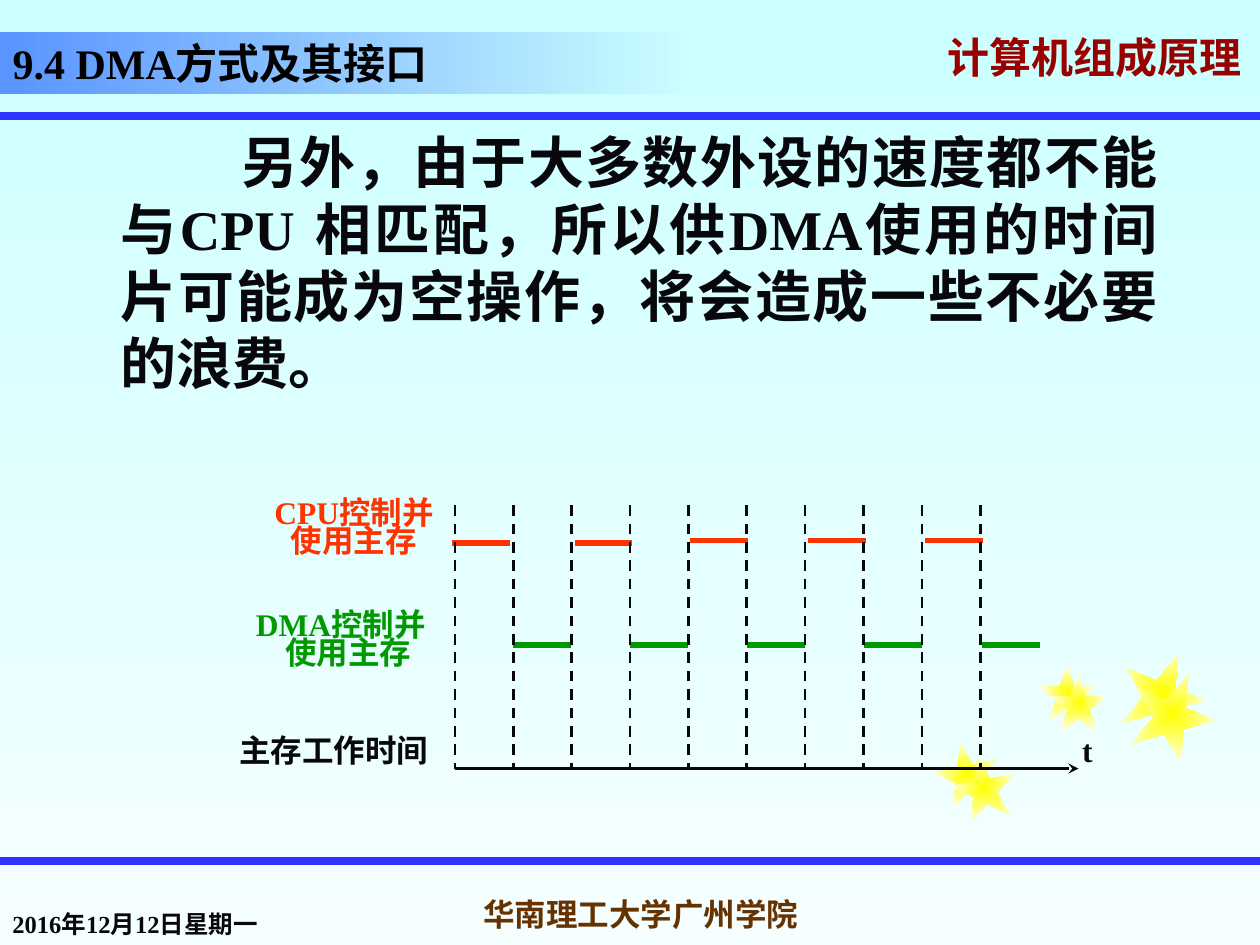
import pptx
import pptx.util
import pptx.dml.color
import pptx.enum.dml
import pptx.enum.shapes
import pptx.enum.text
from pptx.oxml import parse_xml
from pptx.oxml.ns import nsdecls, qn

Inches = pptx.util.Inches
Pt = pptx.util.Pt
Align = pptx.enum.text.PP_ALIGN
Anchor = pptx.enum.text.MSO_ANCHOR
Shape = pptx.enum.shapes.MSO_SHAPE
DASH = pptx.enum.dml.MSO_LINE.DASH

INK = "08080C"
RED = "FF3300"
GREEN = "009900"
BLUE = "3333FF"


def color(code):
    return pptx.dml.color.RGBColor.from_string(code)


class Deck:
    """Holds the type style and the current slide."""

    def __init__(self, font):
        self.font = font
        self.prs = pptx.Presentation()
        self.prs.slide_width, self.prs.slide_height = Inches(10), Inches(7.5)
        self.slide = self.prs.slides.add_slide(self.prs.slide_layouts[5])

    def blend(self, fill, start, end, angle=0):
        fill.gradient()
        fill.gradient_angle = angle
        for stop, code, spot in zip(fill.gradient_stops, (start, end), (0, 1)):
            stop.color.rgb = color(code)
            stop.position = spot

    def style(self, par, size, code, align, font=None):
        par.alignment = align
        par.font.name = font or self.font
        par.font.size = Pt(size)
        par.font.bold = True
        par.font.color.rgb = color(code)

    def title(self, words, x, y, w, h):
        box = self.slide.shapes.title
        box.left, box.top, box.width, box.height = map(Inches, (x, y, w, h))
        self.blend(box.fill, "5994FF", "CCFFFF")
        box.text_frame.text = words
        box.text_frame.vertical_anchor = Anchor.BOTTOM
        self.style(box.text_frame.paragraphs[0], 24, "000000", Align.JUSTIFY)

    def text(self, lines, x, y, w, h, size, code=INK, align=Align.CENTER,
             anchor=Anchor.TOP, wrap=True, font=None):
        box = self.slide.shapes.add_textbox(*map(Inches, (x, y, w, h)))
        frame = box.text_frame
        frame.text = lines
        frame.word_wrap = wrap
        frame.vertical_anchor = anchor
        for par in frame.paragraphs:
            self.style(par, size, code, align, font)
        return frame.paragraphs

    def indent(self, par, left, first=0):
        props = par._p.get_or_add_pPr()
        props.set("marL", str(Inches(left)))
        props.set("indent", str(Inches(first)))

    def shade(self, par):
        props = par.runs[0]._r.get_or_add_rPr()
        props.append(parse_xml(
            f'<a:effectLst {nsdecls("a")}><a:outerShdw dist="35921" dir="2700000">'
            '<a:srgbClr val="808080"/></a:outerShdw></a:effectLst>'))

    def label(self, lines, x, y, w, h, code, shift=0):
        first, last = self.text(lines, x, y, w, h, 18, code)
        last.line_spacing = 0.2
        last.space_before = Pt(9)
        self.indent(last, shift)

    def line(self, x1, y1, x2, y2, code, width, dash=None, arrow=False):
        line = self.slide.shapes.add_connector(
            pptx.enum.shapes.MSO_CONNECTOR.STRAIGHT,
            *map(Inches, (x1, y1, x2, y2)))
        line.line.color.rgb = color(code)
        line.line.width = Pt(width)
        if dash:
            line.line.dash_style = dash
        if arrow:
            line.line._get_or_add_ln().append(
                parse_xml(f'<a:tailEnd {nsdecls("a")} type="stealth"/>'))
        line._element.spPr.append(parse_xml(f'<a:effectLst {nsdecls("a")}/>'))

    def star(self, x, y, size, turn):
        star = self.slide.shapes.add_shape(
            Shape.STAR_5_POINT, *map(Inches, (x, y, size, size)))
        star.rotation = turn
        star.shadow.inherit = False
        star.line.fill.background()
        self.blend(star.fill, "FFFF00", "FFFFF5")
        grad = star._element.spPr.find(qn("a:gradFill"))
        grad.replace(grad.find(qn("a:lin")), parse_xml(
            f'<a:path {nsdecls("a")} path="shape"><a:fillToRect l="50000" '
            't="50000" r="50000" b="50000"/></a:path>'))


def main():
    deck = Deck("Times New Roman")
    deck.blend(deck.slide.background.fill, "CCFFFF", "F5FFFF", 270)

    course = deck.text("计算机组成原理", 7.42, 0.25, 2.58, 0.5, 24, "990000",
                       Align.LEFT, Anchor.MIDDLE, font="Noto Sans CJK SC")[0]
    course.line_spacing = 0.7
    deck.shade(course)
    for y in (0.92, 6.83):
        deck.line(0, y, 10, y, BLUE, 4.5)
    for x, y, size, turn in (
            (7.42, 5.89, 0.5, 349), (8.24, 5.27, 0.46, 0), (8.89, 5.17, 0.67, 22),
            (7.56, 6, 0.5, 349), (8.33, 5.35, 0.46, 0), (8.97, 5.33, 0.67, 22)):
        deck.star(x, y, size, turn)

    deck.text("2016年12月12日星期一", 0, 7, 2.21, 0.5, 14,
              align=Align.LEFT, anchor=Anchor.BOTTOM)
    deck.text("华南理工大学广州学院", 3.5, 7, 3.17, 0.5, 18, "663300",
              anchor=Anchor.MIDDLE, wrap=False)
    deck.title("9.4 DMA方式及其接口", 0, 0.25, 5.5, 0.5)
    body = deck.text(
        "另外，由于大多数外设的速度都不能与CPU 相匹配，所以供DMA使用的"
        "时间片可能成为空操作，将会造成一些不必要的浪费。",
        0.48, 0.96, 8.81, 5.65, 32, align=Align.JUSTIFY)[0]
    deck.indent(body, 0.38, 0.96)

    for x, y in ((3.59, 4.31), (4.56, 4.31), (5.48, 4.29), (6.41, 4.29), (7.34, 4.29)):
        deck.line(x, y, x + 0.46, y, RED, 3)
    for i in range(5):
        x = 4.07 + 0.93 * i
        deck.line(x, 5.12, x + 0.46, 5.12, GREEN, 3)

    deck.line(3.61, 6.1, 8.56, 6.1, INK, 1.5, arrow=True)
    for i in range(10):
        x = 3.61 + 4.17 * i / 9
        deck.line(x, 4.01, x, 6.1, INK, 1.5, DASH)
    deck.label("CPU控制并\n使用主存", 1.88, 3.86, 1.86, 0.61, RED)
    deck.label("DMA控制并\n使用主存", 1.38, 4.75, 2.65, 0.61, GREEN, 0.12)
    deck.text("主存工作时间", 1.44, 5.75, 2.42, 0.4, 18)
    deck.text("t", 8.49, 5.75, 0.77, 0.4, 18, align=Align.LEFT)

    deck.prs.save("out.pptx")


if __name__ == "__main__":
    main()
